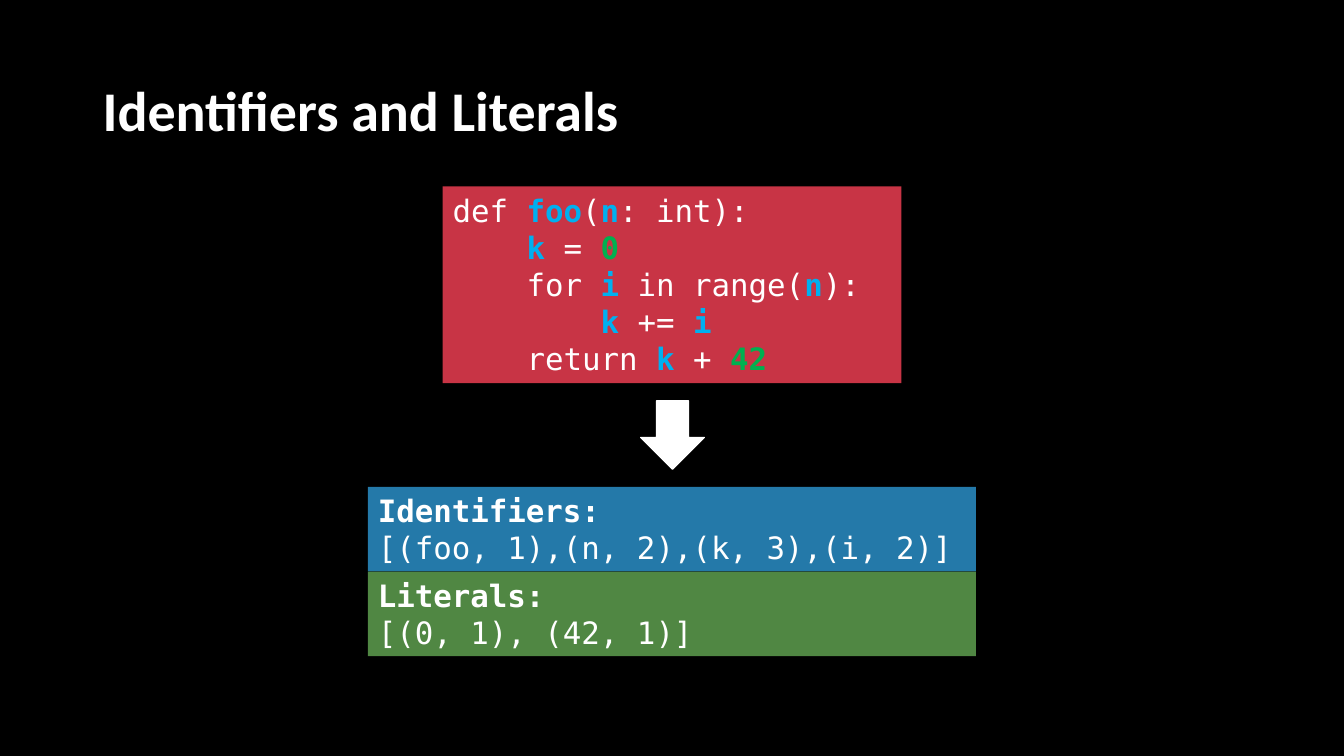
from dataclasses import dataclass

from pptx import Presentation
from pptx import util as u
from pptx.dml.color import RGBColor
from pptx.enum import shapes, text


@dataclass(frozen=True)
class Theme:
    background: str = "000000"
    plain: str = "FFFFFF"
    name: str = "00B0F0"
    literal: str = "00B050"
    code_fill: str = "C83445"
    identifier_fill: str = "2479A9"
    literal_fill: str = "508743"
    title_font: str = "Calibri"
    code_font: str = "DejaVu Sans Mono"
    title_size: int = 40
    code_size: int = 22


class SlideBuilder:
    def __init__(self, deck, theme):
        self.theme = theme
        self.page = deck.slides.add_slide(deck.slide_layouts[6])
        self.paint(self.page.background.fill, theme.background)

    def paint(self, fill, color):
        fill.solid()
        fill.fore_color.rgb = RGBColor.from_string(color)

    def add_span(self, para, content, font, size, color, bold):
        span = para.add_run()
        span.text = content
        span.font.name = font
        span.font.size = u.Pt(size)
        span.font.bold = bold
        span.font.color.rgb = RGBColor.from_string(color)

    def title(self, content, left, top, width, height):
        box = self.page.shapes.add_textbox(*map(u.Inches, (left, top, width, height)))
        frame = box.text_frame
        frame.word_wrap = True
        frame.vertical_anchor = text.MSO_ANCHOR.MIDDLE
        para = frame.paragraphs[0]
        para.line_spacing = 0.9
        theme = self.theme
        self.add_span(para, content, theme.title_font, theme.title_size, theme.plain, True)

    def shape(self, kind, left, top, width, height, fill):
        item = self.page.shapes.add_shape(kind, *map(u.Inches, (left, top, width, height)))
        item.shadow.inherit = False
        self.paint(item.fill, fill)
        item.line.fill.background()
        return item

    def code_panel(self, lines, left, top, width, height, fill):
        panel = self.shape(shapes.MSO_SHAPE.RECTANGLE, left, top, width, height, fill)
        frame = panel.text_frame
        frame.word_wrap = True
        frame.auto_size = text.MSO_AUTO_SIZE.SHAPE_TO_FIT_TEXT
        frame.vertical_anchor = text.MSO_ANCHOR.TOP
        theme = self.theme
        for index, line in enumerate(lines):
            para = frame.add_paragraph() if index else frame.paragraphs[0]
            para.alignment = text.PP_ALIGN.LEFT
            for content, color, bold in line:
                self.add_span(para, content, theme.code_font, theme.code_size, color, bold)

    def down_arrow(self, left, top, width, height):
        arrow = self.shape(
            shapes.MSO_SHAPE.RIGHT_ARROW, left, top, width, height, self.theme.plain
        )
        arrow.rotation = 90
        self.paint(arrow.line.fill, self.theme.plain)
        arrow.line.width = u.Pt(1)


def main():
    deck = Presentation()
    deck.slide_width, deck.slide_height = u.Inches(13.33), u.Inches(7.5)
    theme = Theme()
    builder = SlideBuilder(deck, theme)

    def plain(content):
        return content, theme.plain, False

    def heading(content):
        return content, theme.plain, True

    def name(content):
        return content, theme.name, True

    def literal(content):
        return content, theme.literal, True

    source_code = [
        [plain("def "), name("foo"), plain("("), name("n"), plain(": int):")],
        [plain("    "), name("k"), plain(" = "), literal("0")],
        [plain("    for "), name("i"), plain(" in range("), name("n"), plain("):")],
        [plain("        "), name("k"), plain(" += "), name("i")],
        [plain("    return "), name("k"), plain(" + "), literal("42")],
    ]
    tables = [
        ("Identifiers:", "[(foo, 1),(n, 2),(k, 3),(i, 2)]", theme.identifier_fill),
        ("Literals:", "[(0, 1), (42, 1)]", theme.literal_fill),
    ]

    builder.title("Identifiers and Literals", 0.92, 0.4, 11.5, 1.45)
    builder.code_panel(source_code, 4.39, 1.85, 4.55, 1.95, theme.code_fill)
    table_top, table_height = 4.83, 0.84
    for index, (label, entries, fill) in enumerate(tables):
        builder.code_panel(
            [[heading(label)], [plain(entries)]],
            3.65, table_top + index * table_height, 6.03, table_height, fill,
        )
    builder.down_arrow(6.33, 4, 0.68, 0.63)
    deck.save("out.pptx")


if __name__ == "__main__":
    main()
